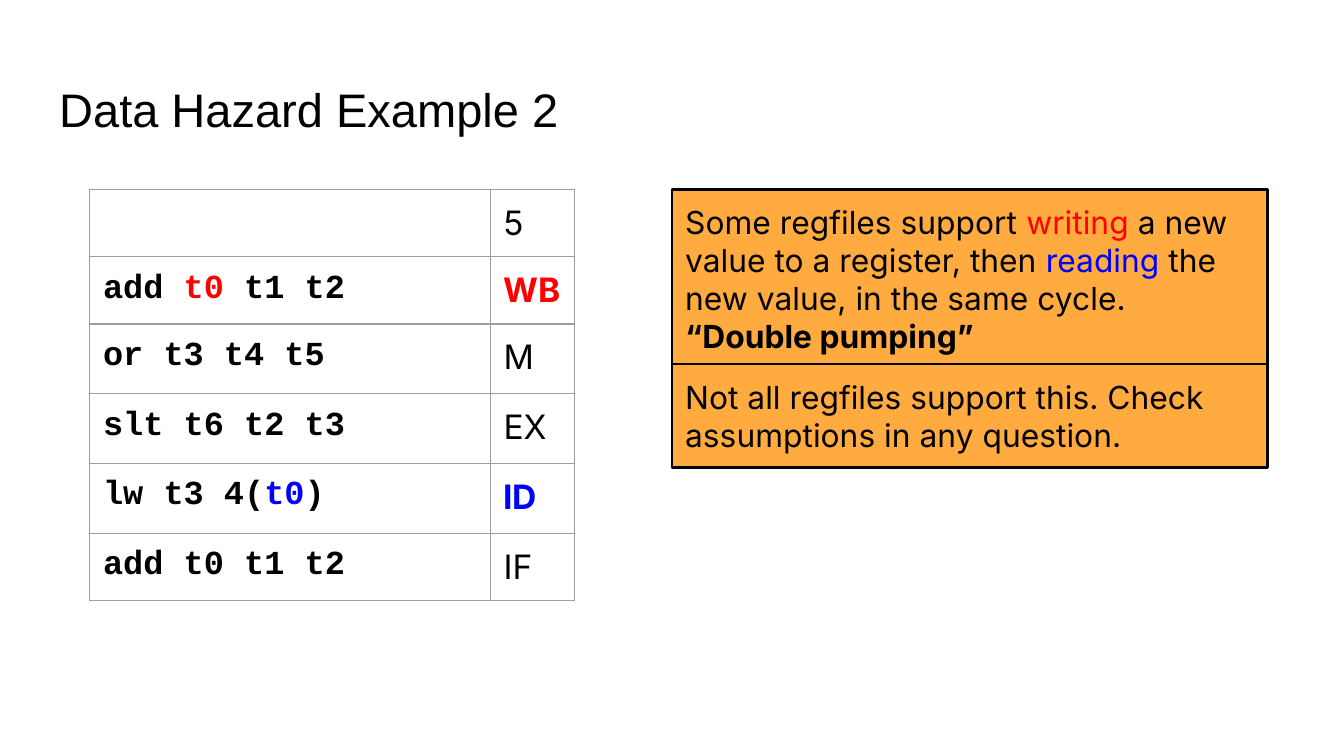
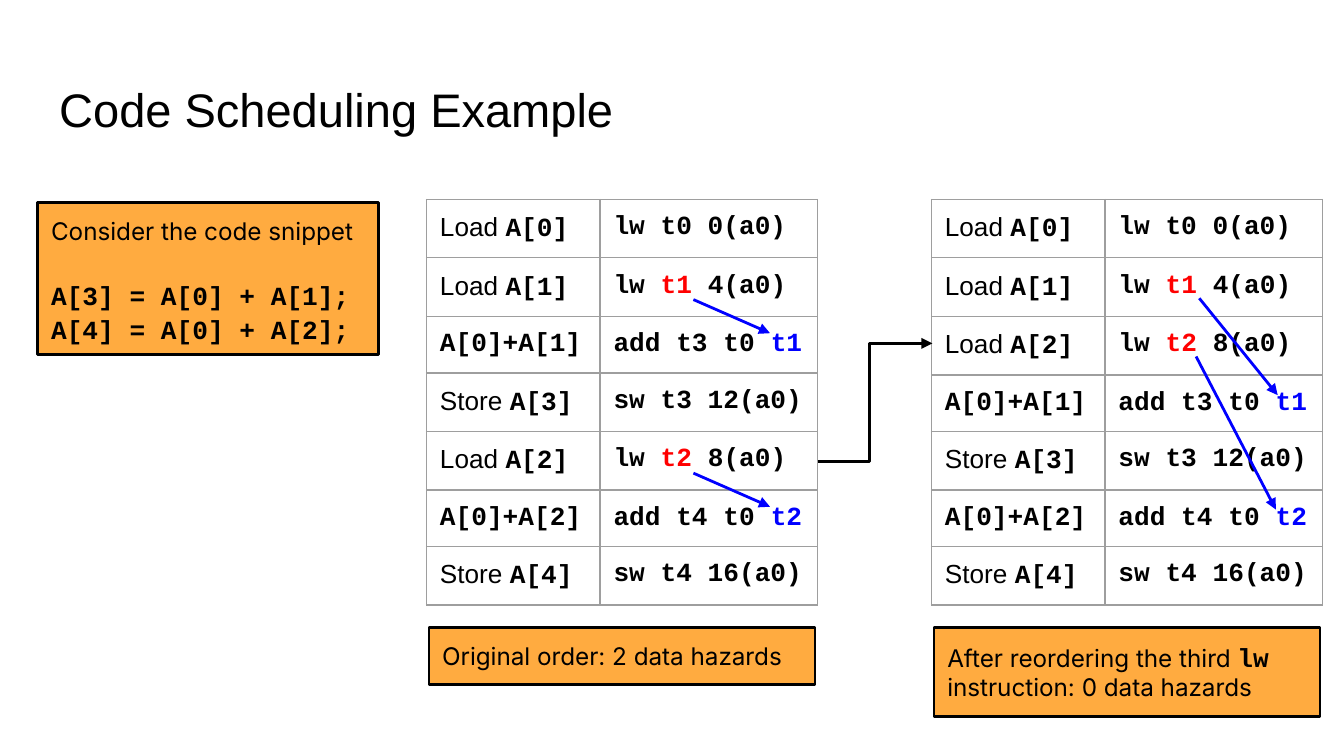
from dataclasses import dataclass

from lxml import etree
from pptx import Presentation
from pptx.dml.color import RGBColor
from pptx.enum import shapes, text
from pptx.oxml import ns
from pptx.util import Pt


@dataclass(frozen=True)
class Theme:
    black: str = "000000"
    red: str = "FF0000"
    blue: str = "0000FF"
    orange: str = "FFAB40"
    grid: str = "9E9E9E"
    rule: float = 1.5
    hairline: float = 0.75
    inset: float = 7.2


THEME = Theme()
STYLES = {
    "title": {"name": "Arial", "size": Pt(25.2), "bold": False},
    "note": {"name": "Inter", "size": Pt(17), "bold": False},
    "term": {"name": "Inter", "size": Pt(17), "bold": True},
    "stage": {"name": "Inter", "size": Pt(18), "bold": False},
    "hazard": {"name": "Inter", "size": Pt(18), "bold": True},
    "program": {"name": "Courier New", "size": Pt(18), "bold": True},
    "step": {"name": "Arial", "size": Pt(14), "bold": False},
    "code": {"name": "Courier New", "size": Pt(14), "bold": True},
    "caption": {"name": "Inter", "size": Pt(13), "bold": False},
}
TITLE_FRAME = (24.5, 35.3, 671, 45.4)

PIPELINE = [
    ([], [("5", "stage")]),
    ([("add ", "program"), ("t0", "program", THEME.red), (" t1 t2", "program")],
     [("WB", "hazard", THEME.red)]),
    ([("or t3 t4 t5", "program")], [("M", "stage")]),
    ([("slt t6 t2 t3", "program")], [("EX", "stage")]),
    ([("lw t3 4(", "program"), ("t0", "program", THEME.blue), (")", "program")],
     [("ID", "hazard", THEME.blue)]),
    ([("add t0 t1 t2", "program")], [("IF", "stage")]),
]
PIPELINE_GRID = {"left": 48, "top": 101.5, "widths": (214.6, 45.4),
                 "heights": (36, 36, 37.4, 37.4, 37.4, 36)}

HAZARD_NOTES = [
    ((360, 101.5, 319, 97.2), [
        [("Some regfiles support ", "note"), ("writing", "note", THEME.red),
         (" a new value to a register, then ", "note"),
         ("reading", "note", THEME.blue),
         (" the new value, in the same cycle.", "note")],
        [("“Double pumping”", "term")],
    ]),
    ((360, 195, 319, 55.6), [
        [("Not all regfiles support this. Check assumptions in any question.", "note")],
    ]),
]

SCHEDULE = [
    ([("Load ", "step"), ("A[0]", "code")], [("lw t0 0(a0)", "code")]),
    ([("Load ", "step"), ("A[1]", "code")],
     [("lw ", "code"), ("t1", "code", THEME.red), (" 4(a0)", "code")]),
    ([("A[0]+A[1]", "code")], [("add t3 t0 ", "code"), ("t1", "code", THEME.blue)]),
    ([("Store ", "step"), ("A[3]", "code")], [("sw t3 12(a0)", "code")]),
    ([("Load ", "step"), ("A[2]", "code")],
     [("lw ", "code"), ("t2", "code", THEME.red), (" 8(a0)", "code")]),
    ([("A[0]+A[2]", "code")], [("add t4 t0 ", "code"), ("t2", "code", THEME.blue)]),
    ([("Store ", "step"), ("A[4]", "code")], [("sw t4 16(a0)", "code")]),
]
REORDERED = (0, 1, 4, 2, 3, 5, 6)
SCHEDULE_GRID = {"top": 106.8, "widths": (93, 116.5), "heights": (30.2,) * 7}
SCHEDULE_LEFTS = (228.5, 499)

MOVE = ((438, 247.4), (499.5, 184))
DEPENDENCIES = [
    ((371.5, 160.5), (412.5, 178.5)),
    ((371.5, 253.5), (412.5, 271.5)),
    ((642.5, 159.8), (684.5, 211.7)),
    ((640.8, 191), (683.5, 273)),
]

SCHEDULE_NOTES = [
    ((229.8, 336.4, 206.8, 30.2), [[("Original order: 2 data hazards", "caption")]]),
    ((500.4, 336.4, 206.8, 47.5), [
        [("After reordering the third ", "caption"), ("lw ", "code"),
         ("instruction: 0 data hazards", "caption")],
    ]),
    ((20.3, 108.4, 182.4, 81.7), [
        [("Consider the code snippet", "caption")],
        [("A[3] = A[0] + A[1];", "code")],
        [("A[4] = A[0] + A[2];", "code")],
    ]),
]
SNIPPET_GAPS = (0, 18.5, 1.5)


def points(values):
    return [Pt(value) for value in values]


def color(code):
    return RGBColor.from_string(code)


def apply_format(target, values):
    for name, value in values.items():
        setattr(target, name, value)


def write(frame, paragraphs, gaps=()):
    for index, spans in enumerate(paragraphs):
        para = frame.paragraphs[0] if index == 0 else frame.add_paragraph()
        para.alignment = text.PP_ALIGN.LEFT
        if gaps:
            para.space_before = Pt(gaps[index])
        for words, style, *ink in spans:
            span = para.add_run()
            span.text = words
            apply_format(span.font, STYLES[style])
            span.font.color.rgb = color(ink[0] if ink else THEME.black)


def pad(target):
    sides = ("left", "right", "top", "bottom")
    apply_format(target, {f"margin_{side}": Pt(THEME.inset) for side in sides})


def add_page(deck, title):
    page = deck.slides.add_slide(deck.slide_layouts[5])
    box = page.shapes.title
    apply_format(box, dict(zip(("left", "top", "width", "height"), points(TITLE_FRAME))))
    frame = box.text_frame
    pad(frame)
    apply_format(frame, {"word_wrap": True, "auto_size": text.MSO_AUTO_SIZE.NONE,
                         "vertical_anchor": text.MSO_ANCHOR.BOTTOM})
    write(frame, [[(title, "title")]])
    return page


def add_note(page, place, paragraphs, gaps=()):
    box = page.shapes.add_shape(shapes.MSO_SHAPE.RECTANGLE, *points(place))
    box.shadow.inherit = False
    box.fill.solid()
    box.fill.fore_color.rgb = color(THEME.orange)
    box.line.color.rgb = color(THEME.black)
    box.line.width = Pt(THEME.rule)
    frame = box.text_frame
    pad(frame)
    apply_format(frame, {"word_wrap": True, "vertical_anchor": text.MSO_ANCHOR.TOP,
                         "auto_size": text.MSO_AUTO_SIZE.SHAPE_TO_FIT_TEXT})
    write(frame, paragraphs, gaps)


def add_borders(cell):
    properties = cell._tc.get_or_add_tcPr()
    for index, side in enumerate(("lnL", "lnR", "lnT", "lnB")):
        line = etree.Element(ns.qn(f"a:{side}"), w=str(Pt(THEME.hairline)))
        fill = etree.SubElement(line, ns.qn("a:solidFill"))
        etree.SubElement(fill, ns.qn("a:srgbClr"), val=THEME.grid)
        properties.insert(index, line)


def add_grid(page, rows, left, top, widths, heights):
    place = points((left, top, sum(widths), sum(heights)))
    table = page.shapes.add_table(len(rows), len(widths), *place).table
    apply_format(table, {"first_row": False, "horz_banding": False})
    for column, width in zip(table.columns, widths):
        column.width = Pt(width)
    for row, height, contents in zip(table.rows, heights, rows):
        row.height = Pt(height)
        for cell, spans in zip(row.cells, contents):
            pad(cell)
            cell.vertical_anchor = text.MSO_ANCHOR.TOP
            cell.fill.background()
            add_borders(cell)
            write(cell.text_frame, [spans])


def add_arrow(page, start, end, ink, kind=shapes.MSO_CONNECTOR.STRAIGHT):
    arrow = page.shapes.add_connector(kind, *points(start + end))
    arrow.line.color.rgb = color(ink)
    arrow.line.width = Pt(THEME.rule)
    etree.SubElement(arrow.line._get_or_add_ln(), ns.qn("a:tailEnd"), type="triangle")
    etree.SubElement(arrow._element.spPr, ns.qn("a:effectLst"))
    return arrow


def build_hazard_page(deck):
    page = add_page(deck, "Data Hazard Example 2")
    for place, paragraphs in HAZARD_NOTES:
        add_note(page, place, paragraphs)
    add_grid(page, PIPELINE, **PIPELINE_GRID)


def build_schedule_page(deck):
    page = add_page(deck, "Code Scheduling Example")
    orders = (SCHEDULE, [SCHEDULE[index] for index in REORDERED])
    for left, rows in zip(SCHEDULE_LEFTS, orders):
        add_grid(page, rows, left, **SCHEDULE_GRID)
    move = add_arrow(page, *MOVE, THEME.black, shapes.MSO_CONNECTOR.ELBOW)
    bend = move._element.spPr.find(ns.qn("a:prstGeom")).find(ns.qn("a:avLst"))
    etree.SubElement(bend, ns.qn("a:gd"), name="adj1", fmla="val 45000")
    for start, end in DEPENDENCIES:
        add_arrow(page, start, end, THEME.blue)
    for place, paragraphs in SCHEDULE_NOTES:
        gaps = SNIPPET_GAPS if len(paragraphs) == len(SNIPPET_GAPS) else ()
        add_note(page, place, paragraphs, gaps)


def main():
    deck = Presentation()
    deck.slide_width, deck.slide_height = points((720, 405))
    build_hazard_page(deck)
    build_schedule_page(deck)
    deck.save("out.pptx")


if __name__ == "__main__":
    main()
